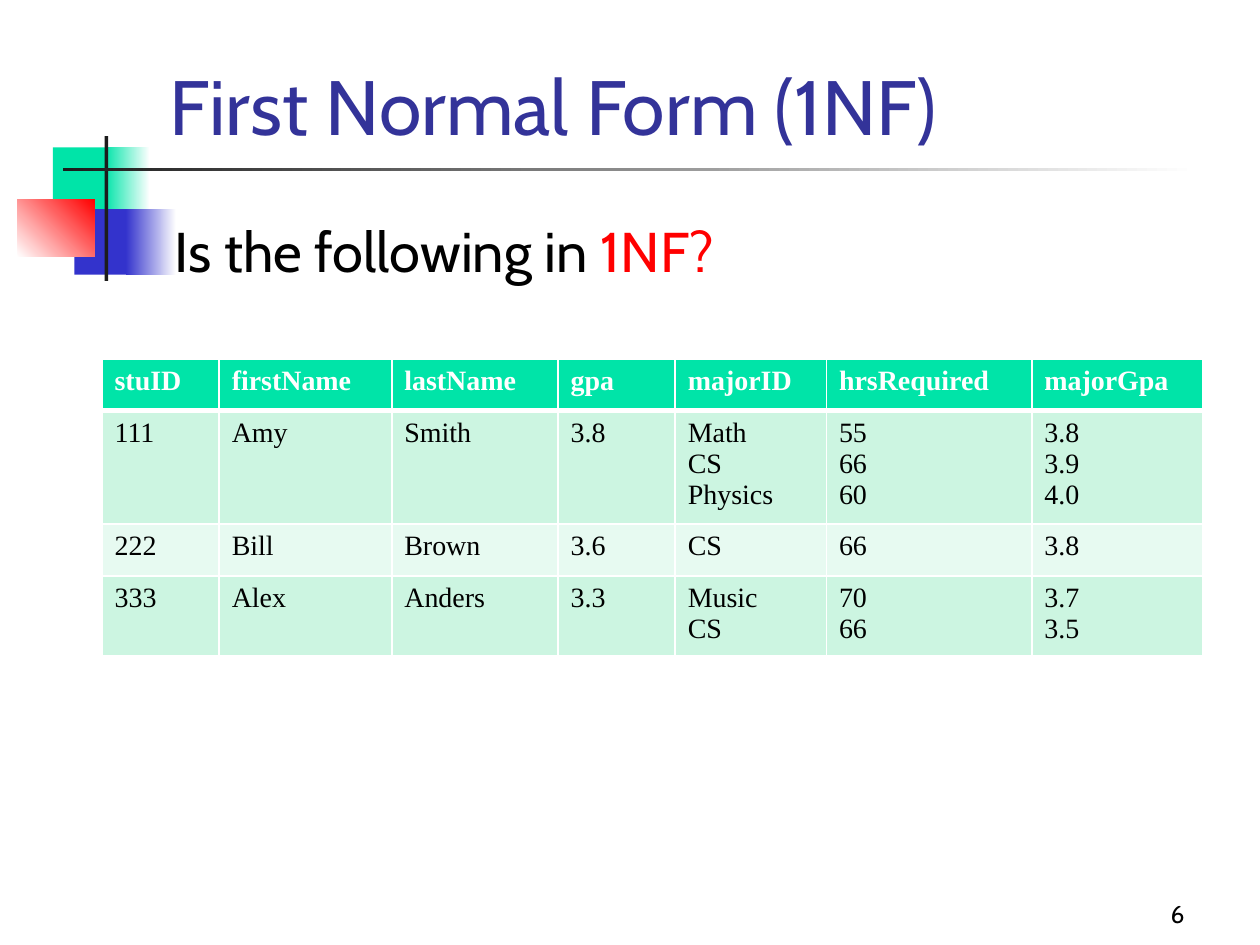
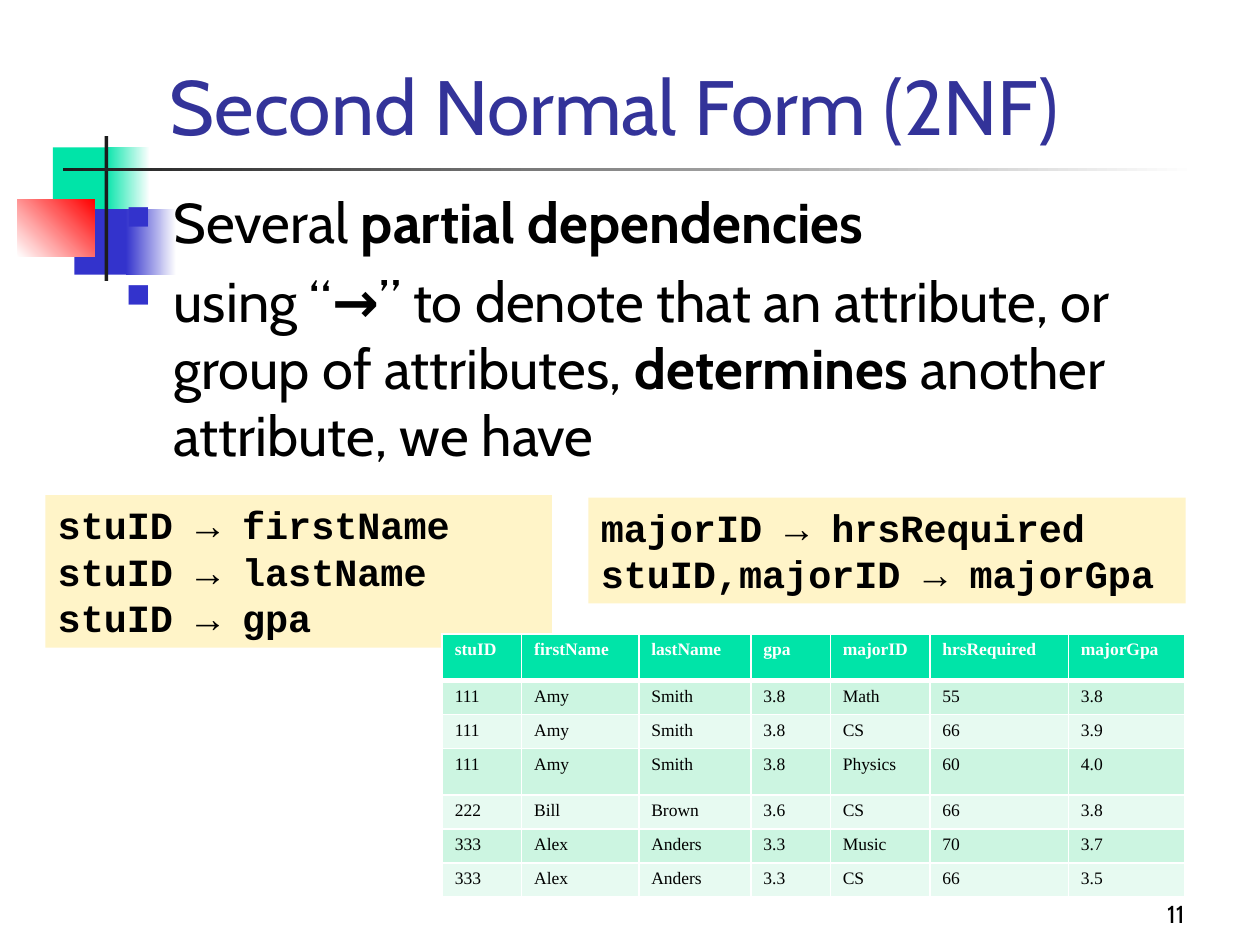
from lxml import etree
from pptx import Presentation
from pptx.dml.color import RGBColor
from pptx.enum.shapes import MSO_SHAPE
from pptx.enum.text import MSO_ANCHOR, PP_ALIGN
from pptx.oxml.ns import qn
from pptx.util import Inches, Pt

RECTANGLE = MSO_SHAPE.RECTANGLE
TOP, BOTTOM = MSO_ANCHOR.TOP, MSO_ANCHOR.BOTTOM
LEFT, RIGHT = PP_ALIGN.LEFT, PP_ALIGN.RIGHT

BLACK = RGBColor(0x00, 0x00, 0x00)
WHITE = RGBColor(0xFF, 0xFF, 0xFF)
GREEN = RGBColor(0x00, 0xE4, 0xA8)
BLUE = RGBColor(0x33, 0x33, 0xCC)
RED = RGBColor(0xFF, 0x00, 0x00)
CHARCOAL = RGBColor(0x1C, 0x1C, 0x1C)
TITLE_BLUE = RGBColor(0x33, 0x33, 0x99)
CREAM = RGBColor(0xFF, 0xF4, 0xC8)
BANDS = (RGBColor(0xCC, 0xF5, 0xE1), RGBColor(0xE7, 0xFA, 0xF1))

SANS, MONO, SERIF = "Cabin", "Courier New", "Times New Roman"

COLUMNS = ["stuID", "firstName", "lastName", "gpa", "majorID", "hrsRequired", "majorGpa"]
STUDENTS = [
    (["111", "Amy", "Smith", "3.8"],
     [("Math", "55", "3.8"), ("CS", "66", "3.9"), ("Physics", "60", "4.0")]),
    (["222", "Bill", "Brown", "3.6"], [("CS", "66", "3.8")]),
    (["333", "Alex", "Anders", "3.3"], [("Music", "70", "3.7"), ("CS", "66", "3.5")]),
]


def add_bullet(para):
    properties = para._p.get_or_add_pPr()
    properties.set("marL", str(Inches(0.38)))
    properties.set("indent", str(-Inches(0.38)))
    color = etree.SubElement(properties, qn("a:buClr"))
    etree.SubElement(color, qn("a:srgbClr"), val=str(BLUE))
    etree.SubElement(properties, qn("a:buSzPct"), val="60000")
    etree.SubElement(properties, qn("a:buChar"), char="■")


def write_text(frame, paragraphs, *, size, font=SANS, color=BLACK, bold=False,
               align=LEFT, anchor=TOP, bullet=False, space_before=0):
    """Each paragraph is a string or a list of (text, overrides) spans."""
    frame.word_wrap = True
    frame.vertical_anchor = anchor
    for index, content in enumerate(paragraphs):
        para = frame.add_paragraph() if index else frame.paragraphs[0]
        para.alignment = align
        if bullet:
            add_bullet(para)
        if index and space_before:
            para.space_before = Pt(space_before)
        spans = [(content, {})] if isinstance(content, str) else content
        for text, overrides in spans:
            span = para.add_run()
            span.text = text
            span.font.name = font
            span.font.size = Pt(size)
            span.font.bold = overrides.get("bold", bold)
            span.font.color.rgb = overrides.get("color", color)


def add_text(page, box, paragraphs, **style):
    shape = page.shapes.add_textbox(*map(Inches, box))
    write_text(shape.text_frame, paragraphs, **style)


def add_rectangle(page, box, color, fade_to=None, angle=0):
    shape = page.shapes.add_shape(RECTANGLE, *map(Inches, box))
    shape.shadow.inherit = False
    shape.line.fill.background()
    if fade_to is None:
        shape.fill.solid()
        shape.fill.fore_color.rgb = color
    else:
        shape.fill.gradient()
        shape.fill.gradient_angle = angle
        for stop, stop_color in zip(shape.fill.gradient_stops, (color, fade_to)):
            stop.color.rgb = stop_color
    return shape


def add_emblem(page, left, top):
    for x, y, width, height, color, fade_to, angle in (
        (0.28, 0.09, 0.48, 0.52, GREEN, None, 0),
        (0.69, 0.09, 0.36, 0.52, GREEN, WHITE, 0),
        (0.45, 0.58, 0.46, 0.52, BLUE, None, 0),
        (0.86, 0.58, 0.40, 0.52, BLUE, WHITE, 0),
        (0, 0.50, 0.61, 0.46, WHITE, RED, 45),
        (0.69, 0, 0.03, 1.15, CHARCOAL, None, 0),
        (0.36, 0.25, 9, 0.03, CHARCOAL, WHITE, 0),
    ):
        add_rectangle(page, (left + x, top + y, width, height), color, fade_to, angle)


def add_page(deck, title, number):
    page = deck.slides.add_slide(deck.slide_layouts[6])
    add_emblem(page, 0.14, 1.08)
    add_text(page, (1.25, 0, 8.52, 1.25), [title], size=44, color=TITLE_BLUE, anchor=BOTTOM)
    add_text(page, (7.42, 6.92, 2.08, 0.5), [number], size=14, align=RIGHT, anchor=BOTTOM)
    return page


def add_code_box(page, box, lines):
    shape = add_rectangle(page, box, CREAM)
    write_text(shape.text_frame, lines, size=22, font=MONO, bold=True)


def set_borders(cell, top, bottom):
    properties = cell._tc.get_or_add_tcPr()
    for side, width in (("lnL", 1), ("lnR", 1), ("lnT", top), ("lnB", bottom)):
        line = etree.SubElement(properties, qn(f"a:{side}"), w=str(Pt(width)))
        fill = etree.SubElement(line, qn("a:solidFill"))
        etree.SubElement(fill, qn("a:srgbClr"), val=str(WHITE))


def add_student_table(page, left, top, widths, heights, records, size):
    rows = [COLUMNS] + records
    frame = page.shapes.add_table(len(rows), len(COLUMNS), Inches(left), Inches(top),
                                  Inches(sum(widths)), Inches(sum(heights)))
    table = frame.table
    table.horz_banding = False
    for column, width in zip(table.columns, widths):
        column.width = Inches(width)
    for row_index, (row, height, values) in enumerate(zip(table.rows, heights, rows)):
        row.height = Inches(height)
        header = row_index == 0
        for cell, value in zip(row.cells, values):
            set_borders(cell, top=3 if row_index == 1 else 1, bottom=3 if header else 1)
            cell.fill.solid()
            cell.fill.fore_color.rgb = GREEN if header else BANDS[(row_index - 1) % 2]
            write_text(cell.text_frame, value.split("\n"), size=size, font=SERIF,
                       bold=header, color=WHITE if header else BLACK)


def build_first_form(deck):
    page = add_page(deck, "First Normal Form (1NF)", "6")
    question = [("Is the following in ", {}), ("1NF?", {"color": RED})]
    add_text(page, (1.29, 1.67, 8.5, 0.88), [question], size=32)
    records = [student + ["\n".join(values) for values in zip(*majors)]
               for student, majors in STUDENTS]
    add_student_table(page, 0.81, 2.85, [0.93, 1.37, 1.32, 0.93, 1.2, 1.63, 1.36],
                      [0.41, 0.84, 0.41, 0.59], records, size=16)


def build_second_form(deck):
    page = add_page(deck, "Second Normal Form (2NF)", "11")
    strong = {"bold": True}
    points = [
        [("Several ", {}), ("partial dependencies", strong)],
        [("using “", {}), ("→", strong),
         ("” to denote that an attribute, or group of attributes, ", {}),
         ("determines", strong), (" another attribute, we have", {})],
    ]
    add_code_box(page, (0.36, 3.93, 4.02, 1.21),
                 [f"stuID → {name}" for name in COLUMNS[1:4]])
    add_text(page, (0.9, 1.44, 8.16, 2.6), points, size=32, bullet=True, space_before=6.4)
    add_code_box(page, (4.67, 3.95, 4.74, 0.84),
                 ["majorID → hrsRequired", "stuID,majorID → majorGpa"])
    records = [student + list(major) for student, majors in STUDENTS for major in majors]
    add_student_table(page, 3.51, 5.03, [0.63, 0.93, 0.89, 0.63, 0.79, 1.1, 0.92],
                      [0.37, 0.27, 0.27, 0.37, 0.27, 0.27, 0.27], records, size=10)


def main():
    deck = Presentation()
    deck.slide_width, deck.slide_height = Inches(10), Inches(7.5)
    build_first_form(deck)
    build_second_form(deck)
    deck.save("out.pptx")


if __name__ == "__main__":
    main()
